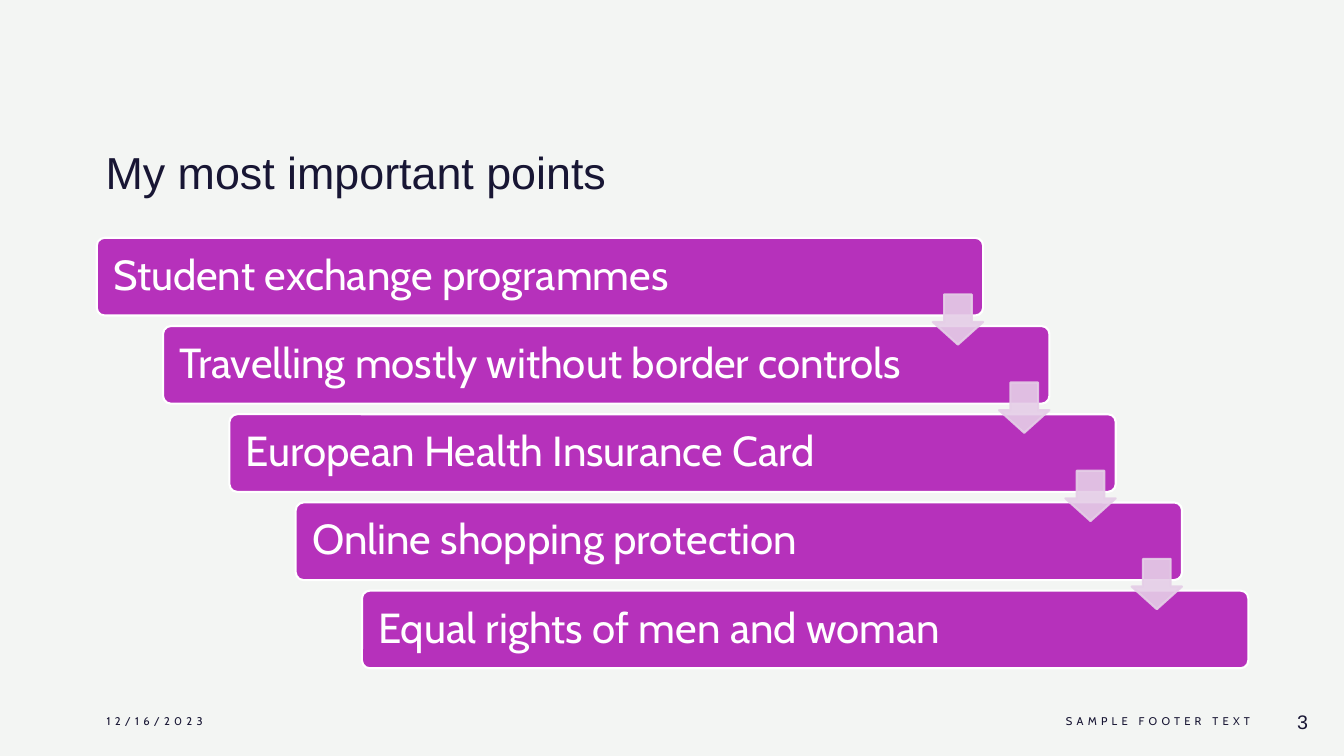
from lxml.etree import SubElement
from pptx import Presentation
from pptx.dml.color import RGBColor
from pptx.enum.shapes import MSO_SHAPE as SHAPE
from pptx.enum.text import MSO_ANCHOR as ANCHOR, MSO_AUTO_SIZE as AUTO, PP_ALIGN as ALIGN
from pptx.oxml.ns import qn
from pptx.util import Inches, Pt

POINTS = [
    "Student exchange programmes",
    "Travelling mostly without border controls",
    "European Health Insurance Card",
    "Online shopping protection",
    "Equal rights of men and woman",
]


def rgb(code):
    return RGBColor.from_string(code)


class Deck:
    LEFT, TOP = 0.96, 2.36
    COL, ROW = 2.63 / 4, 3.5 / 4
    INK, PURPLE, LILAC, WHITE = "181634", "B631BB", "E5CEE7", "FFFFFF"
    HEAD, BODY = "Arial", "Cabin"

    def __init__(self, prs):
        self.s = prs.slides.add_slide(prs.slide_layouts[5])
        fill = self.s.background.fill
        fill.solid()
        fill.fore_color.rgb = rgb("F3F5F3")

    def area(self, col, row, cols, rows):
        return (Inches(self.LEFT + col * self.COL), Inches(self.TOP + row * self.ROW),
                Inches(cols * self.COL), Inches(rows * self.ROW))

    def add_text(self, sp, text, size, font, color, anchor=ANCHOR.MIDDLE, align=ALIGN.LEFT):
        tf = sp.text_frame
        tf.word_wrap = True
        tf.auto_size = AUTO.NONE
        tf.vertical_anchor = anchor
        p = tf.paragraphs[0]
        p.alignment = align
        r = p.add_run()
        r.text = text
        r.font.size = Pt(size)
        r.font.name = font
        r.font.color.rgb = rgb(color)
        return p, r

    def title(self, text, *cells):
        sp = self.s.shapes.title
        sp.left, sp.top, sp.width, sp.height = self.area(*cells)
        self.add_text(sp, text, 32, self.HEAD, self.INK, ANCHOR.BOTTOM)

    def footer(self, text, *cells, size=8, font=BODY, align=ALIGN.RIGHT, spacing=300):
        sp = self.s.shapes.add_textbox(*self.area(*cells))
        p, r = self.add_text(sp, text, size, font, self.INK, align=align)
        p.space_after = Pt(6)
        if spacing:
            r.font._element.set("spc", str(spacing))

    def shape(self, kind, fill, line, adjustments, *cells):
        sp = self.s.shapes.add_shape(kind, *self.area(*cells))
        sp.shadow.inherit = False
        sp.fill.solid()
        sp.fill.fore_color.rgb = rgb(fill)
        sp.line.color.rgb = rgb(line)
        sp.line.width = Pt(1.5)
        for i, value in enumerate(adjustments):
            sp.adjustments[i] = value
        return sp

    def bar(self, text, *cells):
        sp = self.shape(SHAPE.ROUNDED_RECTANGLE, self.PURPLE, self.WHITE, [0.1], *cells)
        p, r = self.add_text(sp, text, 30, self.BODY, self.WHITE)
        p.line_spacing = 0.9
        sp.text_frame.margin_left = Inches(0.14)

    def arrow(self, *cells):
        sp = self.shape(SHAPE.DOWN_ARROW, self.LILAC, self.LILAC, [0.55, 0.45], *cells)
        for color in sp._element.spPr.iter(qn("a:srgbClr")):
            SubElement(color, qn("a:alpha"), val="90000")


def main():
    prs = Presentation()
    prs.slide_width, prs.slide_height = Inches(13.33), Inches(7.5)
    deck = Deck(prs)
    deck.title("My most important points", -0.02, -1.97, 17.38, 1.58)
    deck.footer("12/16/2023", 0, 5.25, 4.56, 0.46, align=ALIGN.LEFT)
    deck.footer("SAMPLE FOOTER TEXT", 10.4, 5.25, 7.15, 0.46)
    deck.footer("3", 17.55, 5.25, 0.87, 0.46, size=14, font=deck.HEAD, spacing=0)
    for i, point in enumerate(POINTS):
        deck.bar(point, i, i, 13.37, 0.88)
    for i in range(len(POINTS) - 1):
        deck.arrow(i + 12.61, i + 0.64, 0.76, 0.57)
    prs.save("out.pptx")


if __name__ == "__main__":
    main()
